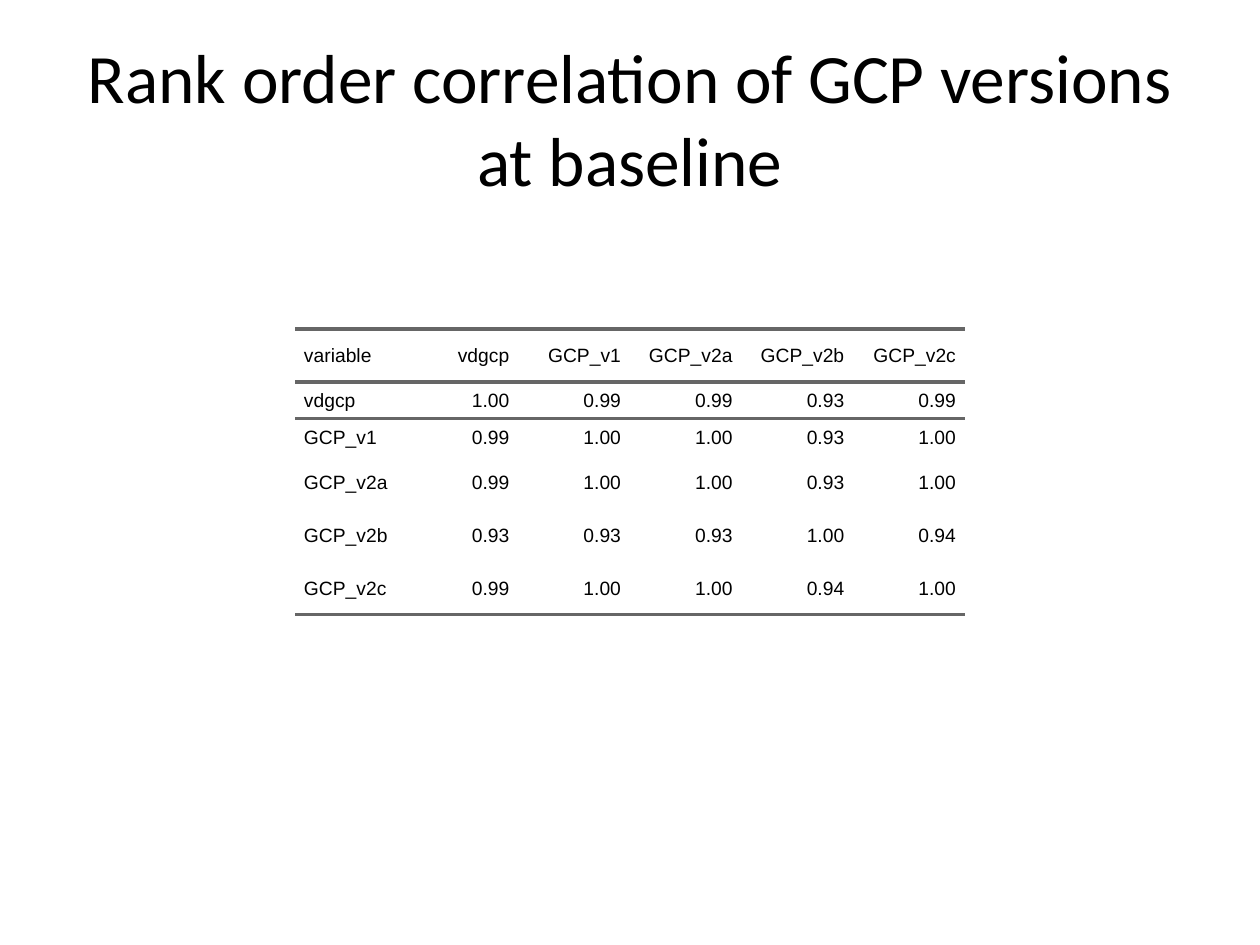
import pptx
import pptx.dml.color
import pptx.enum.text
import pptx.oxml
import pptx.oxml.ns
import pptx.util

# Content
TITLE = "Rank order correlation of GCP versions at baseline"
VARIABLES = ["vdgcp", "GCP_v1", "GCP_v2a", "GCP_v2b", "GCP_v2c"]
CORRELATIONS = [
    ["1.00", "0.99", "0.99", "0.93", "0.99"],
    ["0.99", "1.00", "1.00", "0.93", "1.00"],
    ["0.99", "1.00", "1.00", "0.93", "1.00"],
    ["0.93", "0.93", "0.93", "1.00", "0.94"],
    ["0.99", "1.00", "1.00", "0.94", "1.00"],
]
ROWS = [["variable"] + VARIABLES] + [
    [name] + values for name, values in zip(VARIABLES, CORRELATIONS)
]

# Layout in px
TITLE_BOX = (63, 38, 1134, 158)
TABLE_LEFT, TABLE_TOP, TABLE_WIDTH = 295, 329, 670
ROW_HEIGHTS = [53, 37, 37, 53, 53, 53]
CELL_INDENT = 9

BLACK = pptx.dml.color.RGBColor(0x00, 0x00, 0x00)
RULE_GREY = pptx.dml.color.RGBColor(0x66, 0x66, 0x66)
RULE_WIDTH = pptx.util.Pt(2)
PLAIN_TABLE_STYLE = "{2D5ABB26-0587-4C30-8999-92F81FD0307C}"
ALIGN = pptx.enum.text.PP_ALIGN
MIDDLE = pptx.enum.text.MSO_ANCHOR.MIDDLE


def px(length):
    return pptx.util.Emu(round(length * 914400 / 126))


def format_text(paragraph, font_name, size, alignment):
    paragraph.alignment = alignment
    for run in paragraph.runs:
        run.font.name = font_name
        run.font.size = pptx.util.Pt(size)
        run.font.color.rgb = BLACK


def add_rule(cell, side):
    """Draw a border on the cell: side is lnT (top) or lnB (bottom)."""
    cell._tc.get_or_add_tcPr().append(pptx.oxml.parse_xml(
        f'<a:{side} {pptx.oxml.ns.nsdecls("a")} w="{RULE_WIDTH}">'
        f'<a:solidFill><a:srgbClr val="{RULE_GREY}"/></a:solidFill></a:{side}>'
    ))


def add_title(slide):
    text_frame = slide.shapes.add_textbox(*map(px, TITLE_BOX)).text_frame
    text_frame.word_wrap = True
    text_frame.vertical_anchor = MIDDLE
    text_frame.text = TITLE
    format_text(text_frame.paragraphs[0], "Calibri", 39.6, ALIGN.CENTER)


def fill_cell(cell, text, row, column):
    cell.margin_left = cell.margin_right = 0
    cell.margin_top = cell.margin_bottom = 0
    cell.vertical_anchor = MIDDLE
    cell.text_frame.text = text
    paragraph = cell.text_frame.paragraphs[0]
    format_text(paragraph, "Arial", 11, ALIGN.RIGHT if column else ALIGN.LEFT)
    properties = paragraph._p.get_or_add_pPr()
    for margin in ("marL", "marR"):
        properties.set(margin, str(px(CELL_INDENT)))
    # Rules above and below the header, and under the last row
    if row in (0, 1):
        add_rule(cell, "lnT")
    if row in (0, len(ROWS) - 1):
        add_rule(cell, "lnB")
    cell.fill.background()


def add_correlation_table(slide):
    column_count = len(ROWS[0])
    frame = slide.shapes.add_table(
        len(ROWS), column_count, px(TABLE_LEFT), px(TABLE_TOP),
        px(TABLE_WIDTH), px(sum(ROW_HEIGHTS)))
    table = frame.table
    table.first_row = table.horz_banding = False
    table._tbl.tblPr.find(pptx.oxml.ns.qn("a:tableStyleId")).text = PLAIN_TABLE_STYLE
    for column in table.columns:
        column.width = px(TABLE_WIDTH / column_count)
    for row, (height, texts) in enumerate(zip(ROW_HEIGHTS, ROWS)):
        table.rows[row].height = px(height)
        for column, text in enumerate(texts):
            fill_cell(table.cell(row, column), text, row, column)


def main():
    presentation = pptx.Presentation()
    presentation.slide_width = px(1260)
    presentation.slide_height = px(945)
    slide = presentation.slides.add_slide(presentation.slide_layouts[6])
    add_title(slide)
    add_correlation_table(slide)
    presentation.save("out.pptx")


if __name__ == "__main__":
    main()
